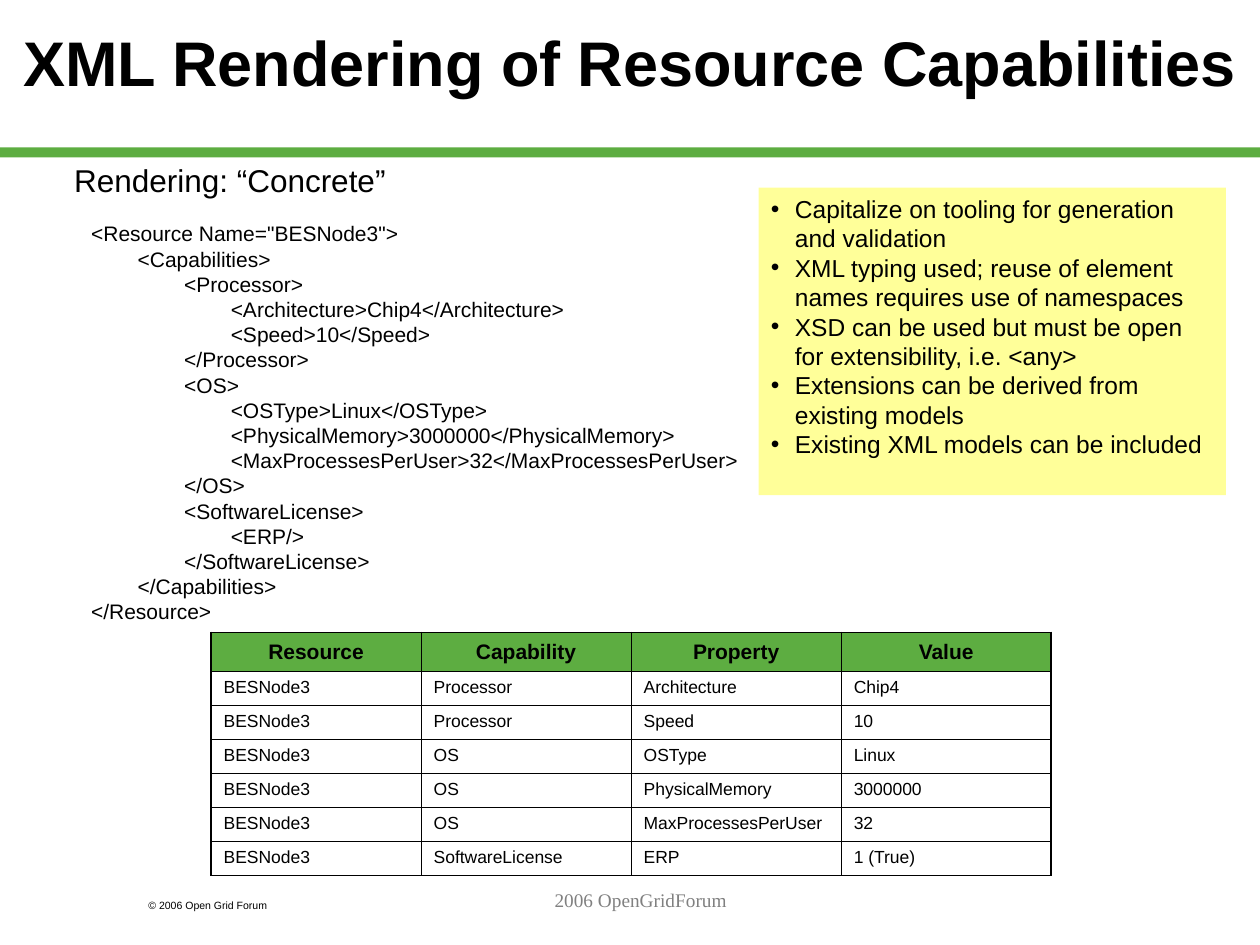
import pptx
import pptx.util
import pptx.dml.color
import pptx.enum.shapes
import pptx.enum.text
import pptx.oxml

COLORS = {"green": "5DAD41", "yellow": "FFFF99", "black": "000000", "gray": "808080"}
NAMESPACE = 'xmlns:a="http://schemas.openxmlformats.org/drawingml/2006/main"'
LEFT = pptx.enum.text.PP_ALIGN.LEFT
CENTER = pptx.enum.text.PP_ALIGN.CENTER
TOP = pptx.enum.text.MSO_ANCHOR.TOP
MIDDLE = pptx.enum.text.MSO_ANCHOR.MIDDLE

deck = pptx.Presentation()
deck.slide_width = pptx.util.Inches(10)
deck.slide_height = pptx.util.Inches(7.5)
page = deck.slides.add_slide(deck.slide_layouts[6])
column = deck.slide_width / 100
row = deck.slide_height / 75


def place(left, top, width, height):
    return [round(left * column), round(top * row), round(width * column), round(height * row)]


def write(frame, lines, size, color="black", face="Arial", bold=False, align=LEFT, bullet=False):
    for index, line in enumerate(lines):
        para = frame.paragraphs[0] if index == 0 else frame.add_paragraph()
        para.alignment = align
        if bullet:
            properties = para._p.get_or_add_pPr()
            properties.set("marL", str(round(1.9 * column)))
            properties.set("indent", str(round(-1.9 * column)))
            properties.append(pptx.oxml.parse_xml(f'<a:buFont {NAMESPACE} typeface="Arial"/>'))
            properties.append(pptx.oxml.parse_xml(f'<a:buChar {NAMESPACE} char="•"/>'))
        span = para.add_run()
        span.text = line
        for name, value in {"name": face, "size": pptx.util.Pt(size), "bold": bold}.items():
            setattr(span.font, name, value)
        span.font.color.rgb = pptx.dml.color.RGBColor.from_string(COLORS[color])


code = """<Resource Name="BESNode3">
        <Capabilities>
                <Processor>
                        <Architecture>Chip4</Architecture>
                        <Speed>10</Speed>
                </Processor>
                <OS>
                        <OSType>Linux</OSType>
                        <PhysicalMemory>3000000</PhysicalMemory>
                        <MaxProcessesPerUser>32</MaxProcessesPerUser>
                </OS>
                <SoftwareLicense>
                        <ERP/>
                </SoftwareLicense>
        </Capabilities>
</Resource>""".splitlines()

benefits = [
    "Capitalize on tooling for generation and validation",
    "XML typing used; reuse of element names requires use of namespaces",
    "XSD can be used but must be open for extensibility, i.e. <any>",
    "Extensions can be derived from existing models",
    "Existing XML models can be included",
]

panels = [
    ("green", (0, 11.7, 100, 0.8), []),
    ("yellow", (60.2, 14.9, 37.1, 24.4), benefits),
]
for fill, area, lines in panels:
    panel = page.shapes.add_shape(pptx.enum.shapes.MSO_SHAPE.RECTANGLE, *place(*area))
    panel.shadow.inherit = False
    panel.fill.solid()
    panel.fill.fore_color.rgb = pptx.dml.color.RGBColor.from_string(COLORS[fill])
    panel.line.fill.background()
    panel.text_frame.word_wrap = True
    panel.text_frame.vertical_anchor = TOP
    write(panel.text_frame, lines, 14, bullet=True)

texts = [
    ((0, 3, 100, 3.7), ["XML Rendering of Resource Capabilities"], MIDDLE, True,
     {"size": 36, "bold": True, "align": CENTER}),
    ((4.9, 12.25, 26.7, 4), ["Rendering: “Concrete”"], TOP, False, {"size": 18}),
    ((6.25, 17.05, 68.5, 33), code, TOP, True, {"size": 12}),
    ((10.8, 70.85, 15, 2), ["© 2006 Open Grid Forum"], TOP, True, {"size": 6}),
    ((21.7, 70, 58.3, 5), ["2006 OpenGridForum"], TOP, True,
     {"size": 11, "color": "gray", "face": "Times New Roman", "align": CENTER}),
]
for area, lines, anchor, wrap, style in texts:
    box = page.shapes.add_textbox(*place(*area))
    box.text_frame.word_wrap = wrap
    box.text_frame.vertical_anchor = anchor
    write(box.text_frame, lines, **style)

records = [
    ["Resource", "Capability", "Property", "Value"],
    ["BESNode3", "Processor", "Architecture", "Chip4"],
    ["BESNode3", "Processor", "Speed", "10"],
    ["BESNode3", "OS", "OSType", "Linux"],
    ["BESNode3", "OS", "PhysicalMemory", "3000000"],
    ["BESNode3", "OS", "MaxProcessesPerUser", "32"],
    ["BESNode3", "SoftwareLicense", "ERP", "1 (True)"],
]
last_line, last_field = len(records) - 1, len(records[0]) - 1
table = page.shapes.add_table(len(records), len(records[0]), *place(16.75, 50.2, 66.7, 19.3)).table
for name in ("first_row", "horz_banding"):
    setattr(table, name, False)
for field in table.columns:
    field.width = round(16.67 * column)
for line, record in enumerate(records):
    header = line == 0
    table.rows[line].height = round((3.1 if header else 2.7) * row)
    for field, value in enumerate(record):
        cell = table.cell(line, field)
        edges = {"L": field == 0, "R": field == last_field, "T": header, "B": line == last_line}
        for side, outer in edges.items():
            width = pptx.util.Pt(1.08 if outer else 0.45)
            cell._tc.get_or_add_tcPr().append(pptx.oxml.parse_xml(
                f'<a:ln{side} {NAMESPACE} w="{width}"><a:solidFill>'
                f'<a:srgbClr val="{COLORS["black"]}"/></a:solidFill></a:ln{side}>'))
        if header:
            cell.fill.solid()
            cell.fill.fore_color.rgb = pptx.dml.color.RGBColor.from_string(COLORS["green"])
        else:
            cell.fill.background()
        cell.vertical_anchor = MIDDLE if header else TOP
        write(cell.text_frame, [value], 12 if header else 10, bold=header,
              align=CENTER if header else LEFT)

deck.save("out.pptx")
